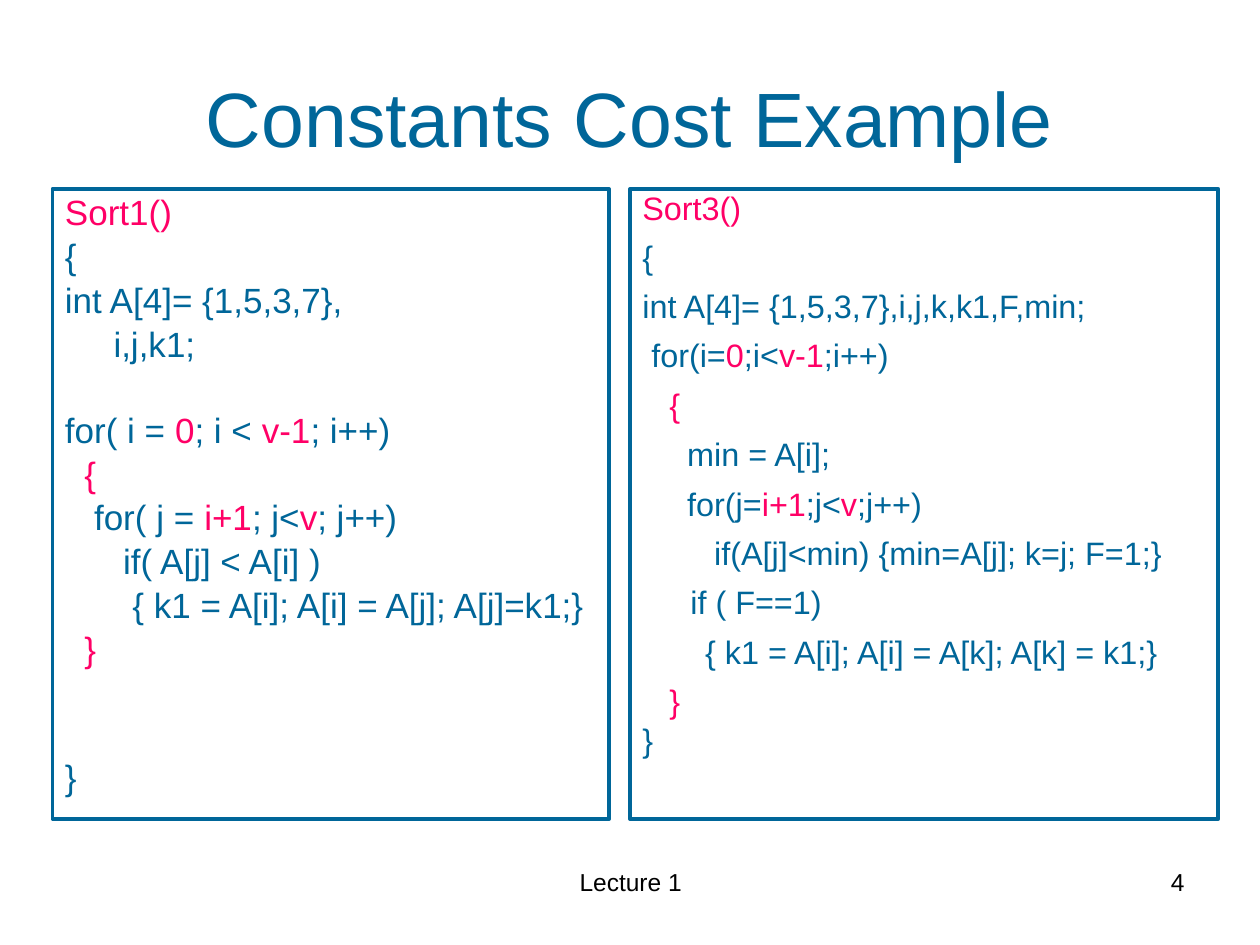
from pptx import Presentation
from pptx.dml.color import RGBColor
from pptx.enum.shapes import MSO_SHAPE as Shape
from pptx.enum.text import MSO_ANCHOR as Anchor, PP_ALIGN as Align
from pptx.util import Cm, Pt

BLUE, PINK, BLACK = "006699", "FF0066", "000000"


def rgb(code):
    return RGBColor.from_string(code)


def apply(item, form):
    for key, value in form.items():
        setattr(item, key, value)


class Deck:
    font = "Arial"

    def __init__(self, wide, high):
        self.prs = Presentation()
        apply(self.prs, {"slide_width": Cm(wide), "slide_height": Cm(high)})
        self.slide = self.prs.slides.add_slide(self.prs.slide_layouts[6])

    def frame(self, area):
        box = self.slide.shapes.add_shape(Shape.RECTANGLE, *map(Cm, area))
        box.shadow.inherit = False
        box.fill.background()
        box.line.color.rgb = rgb(BLUE)
        box.line.width = Pt(2.25)

    def box(self, area, **form):
        box = self.slide.shapes.add_textbox(*map(Cm, area))
        apply(box.text_frame, {"word_wrap": True, **form})
        return box.text_frame

    def run(self, para, text, size, color):
        run = para.add_run()
        run.text = text
        apply(run.font, {"name": self.font, "size": Pt(size)})
        run.font.color.rgb = rgb(color)

    def label(self, area, text, size, color, align, anchor=Anchor.TOP):
        para = self.box(area, vertical_anchor=anchor).paragraphs[0]
        para.alignment = align
        self.run(para, text, size, color)

    def code(self, area, lines, size, gap, rows, skips):
        """Text between ~ marks is pink; rows and skips map a line to its
        line spacing and to extra points above it."""
        text = self.box(area, margin_top=Cm(0.2))
        for num, line in enumerate(lines):
            para = text.paragraphs[0] if num == 0 else text.add_paragraph()
            para.line_spacing = rows[num]
            para.space_before = Pt(gap + skips.get(num, 0) if num else 0)
            prop = para._p.get_or_add_pPr()
            prop.set("marL", str(Cm(0.97)))
            prop.set("indent", str(-Cm(0.97)))
            for part, piece in enumerate(line.split("~")):
                if piece:
                    self.run(para, piece, size, PINK if part % 2 else BLUE)


SORT1 = [
    "~Sort1()~",
    "{",
    "int A[4]= {1,5,3,7},",
    "     i,j,k1;",
    "for( i = ~0~; i < ~v-1~; i++)",
    "  ~{~",
    "   for( j = ~i+1~; j<~v~; j++)",
    "      if( A[j] < A[i] )",
    "\t  { k1 = A[i]; A[i] = A[j]; A[j]=k1;}",
    "  ~}~",
    "}",
]
SORT3 = [
    "~Sort3()~",
    "{",
    "int A[4]= {1,5,3,7},i,j,k,k1,F,min;",
    " for(i=~0~;i<~v-1~;i++)",
    "   ~{~",
    "     min = A[i];",
    "     for(j=~i+1~;j<~v~;j++)",
    "        if(A[j]<min) {min=A[j]; k=j; F=1;}",
    "\tif ( F==1)",
    "       { k1 = A[i]; A[i] = A[k]; A[k] = k1;}",
    "   ~}~",
    "}",
]


def main():
    deck = Deck(25.4, 19.05)
    left = (1.06, 3.81, 11.22, 12.7)
    right = (12.7, 3.81, 11.86, 12.7)

    # Frames
    for area in (right, left):
        deck.frame(area)

    # Title
    deck.label((1.27, 0.76, 22.86, 3.18), "Constants Cost Example", 44, BLUE,
               Align.CENTER, Anchor.MIDDLE)

    # Code listings
    deck.code(left, SORT1, 20, 5.8, [0.8] * len(SORT1), {4: 24.2, 10: 48.4})
    rows = [0.7] + [1.0] * (len(SORT3) - 2) + [0.7]
    deck.code(right, SORT3, 18.5, 6, rows, {})

    # Footer
    deck.label((8.69, 17.35, 8.05, 1.32), "Lecture 1", 14, BLACK, Align.CENTER)
    deck.label((18.21, 17.35, 5.92, 1.32), "4", 14, BLACK, Align.RIGHT)

    deck.prs.save("out.pptx")


if __name__ == "__main__":
    main()
